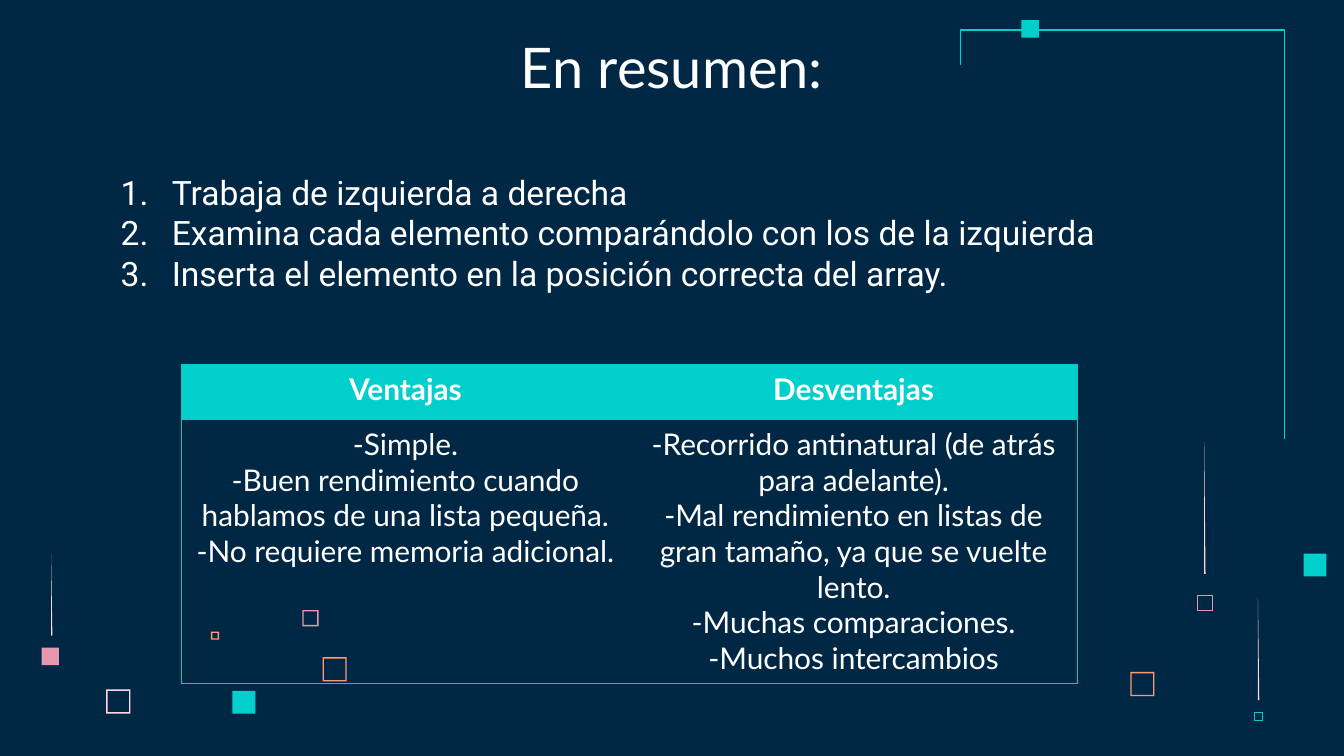
import pptx
import pptx.util
import pptx.dml.color
import pptx.enum.shapes
import pptx.enum.text
import pptx.oxml.ns
from lxml import etree

Inches, Pt = pptx.util.Inches, pptx.util.Pt
RGBColor = pptx.dml.color.RGBColor
SHAPE = pptx.enum.shapes.MSO_SHAPE
qn = pptx.oxml.ns.qn
CENTER = pptx.enum.text.PP_ALIGN.CENTER

NAVY = RGBColor(0x00, 0x28, 0x45)
TEAL = RGBColor(0x00, 0xCF, 0xCC)
BORDER = RGBColor(0x00, 0xCA, 0xC8)
PINK = RGBColor(0xE8, 0x98, 0xAC)
PALE = RGBColor(0xFF, 0xD6, 0xE1)
ORANGE = RGBColor(0xFF, 0x99, 0x73)
WHITE = RGBColor(0xFF, 0xFF, 0xFF)
NO_STYLE = "{2D5ABB26-0587-4C30-8999-92F81FD0307C}"

# Content
TITLE = "En resumen:"
STEPS = [
    "Trabaja de izquierda a derecha",
    "Examina cada elemento comparándolo con los de la izquierda",
    "Inserta el elemento en la posición correcta del array.",
]
COLUMNS = [
    ("Ventajas", [
        "-Simple.",
        "-Buen rendimiento cuando hablamos de una lista pequeña.",
        "-No requiere memoria adicional.",
    ]),
    ("Desventajas", [
        "-Recorrido antinatural (de atrás para adelante).",
        "-Mal rendimiento en listas de gran tamaño, ya que se vuelte lento.",
        "-Muchas comparaciones.",
        "-Muchos intercambios",
    ]),
]

# Decoration: left, top, size, colour
FRAMES = [(0.79, 5.13, 0.18, PALE), (2.25, 4.54, 0.12, PINK), (1.57, 4.7, 0.06, ORANGE),
          (2.4, 4.89, 0.18, ORANGE), (8.41, 5, 0.18, ORANGE)]
SOLIDS = [(1.73, 5.14, 0.17, TEAL), (0.31, 4.82, 0.13, PINK), (9.7, 4.12, 0.17, TEAL),
          (7.6, 0.15, 0.13, TEAL)]
OUTLINES = [(8.91, 4.43, 0.11, PINK), (9.33, 5.3, 0.06, TEAL)]
# Tapered streaks: left, top, bottom
STREAKS = [(8.96, 3.29, 4.27), (0.38, 4.12, 4.73), (9.36, 4.45, 5.21)]


def add_square(s, kind, left, top, size):
    sp = s.shapes.add_shape(kind, Inches(left), Inches(top), Inches(size), Inches(size))
    sp.shadow.inherit = False
    return sp


def paint(sp, color):
    sp.fill.solid()
    sp.fill.fore_color.rgb = color
    sp.line.fill.background()


def write(tf, lines, font, size, bold=False, align=None):
    tf.text = "\n".join(lines)
    for p in tf.paragraphs:
        p.alignment = align
        for r in p.runs:
            r.font.name, r.font.size, r.font.bold = font, Pt(size), bold
            r.font.color.rgb = WHITE


def set_borders(cell, sides):
    tcPr = cell._tc.get_or_add_tcPr()
    for i, side in enumerate(sides):
        ln = etree.Element(qn("a:ln" + side), w=str(Pt(0.75)))
        fill = etree.SubElement(ln, qn("a:solidFill"))
        etree.SubElement(fill, qn("a:srgbClr"), val=str(BORDER))
        etree.SubElement(ln, qn("a:prstDash"), val="solid")
        tcPr.insert(i, ln)


prs = pptx.Presentation()
prs.slide_width = Inches(10)
prs.slide_height = prs.slide_width * 9 // 16
s = prs.slides.add_slide(prs.slide_layouts[5])
s.background.fill.solid()
s.background.fill.fore_color.rgb = NAVY

# Squares and streaks
for left, top, size, color in FRAMES:
    sp = add_square(s, SHAPE.FRAME, left, top, size)
    sp.adjustments[0] = 0.01 / size
    paint(sp, color)
for left, top, size, color in OUTLINES:
    sp = add_square(s, SHAPE.RECTANGLE, left, top, size)
    sp.fill.background()
    sp.line.color.rgb = color
    sp.line.width = Pt(0.23)
for left, top, bottom in STREAKS:
    fb = s.shapes.build_freeform(Inches(left), Inches(top))
    fb.add_line_segments([(Inches(left), Inches(bottom)), (Inches(left + 0.01), Inches(bottom))])
    sp = fb.convert_to_shape()
    sp.shadow.inherit = False
    paint(sp, PALE)

# Corner line: an elbow turned by 270 degrees, bending outside its box
cx = s.shapes.add_connector(pptx.enum.shapes.MSO_CONNECTOR.ELBOW,
                            Inches(9.74), Inches(0.67), Inches(6.96), Inches(3.08))
cx.line.color.rgb = TEAL
cx.line.width = Pt(0.75)
spPr = cx._element.spPr
spPr.find(qn("a:xfrm")).set("rot", str(270 * 60000))
avLst = spPr.find(qn("a:prstGeom")).find(qn("a:avLst"))
etree.SubElement(avLst, qn("a:gd"), name="adj1", fmla="val -9400")
etree.SubElement(spPr, qn("a:effectLst"))

for left, top, size, color in SOLIDS:
    paint(add_square(s, SHAPE.RECTANGLE, left, top, size), color)

# Title
title = s.shapes.title
title.left, title.top, title.width, title.height = Inches(0), Inches(0.21), Inches(10), Inches(0.63)
tf = title.text_frame
write(tf, [TITLE], "Lato", 30, align=CENTER)
tf.vertical_anchor = pptx.enum.text.MSO_ANCHOR.BOTTOM
tf.margin_left = tf.margin_right = tf.margin_top = tf.margin_bottom = Inches(0.1)

# Numbered steps
tf = s.shapes.add_textbox(Inches(0.68), Inches(1.18), Inches(8.02), Inches(2.29)).text_frame
tf.word_wrap = True
tf.margin_left = tf.margin_right = tf.margin_top = tf.margin_bottom = Inches(0.1)
write(tf, STEPS, "Roboto", 18)
for p in tf.paragraphs:
    pPr = p._p.get_or_add_pPr()
    pPr.set("marL", str(Inches(0.5)))
    pPr.set("indent", str(Inches(-0.38)))
    color = etree.SubElement(pPr, qn("a:buClr"))
    etree.SubElement(color, qn("a:srgbClr"), val=str(WHITE))
    etree.SubElement(pPr, qn("a:buFont"), typeface="Roboto")
    etree.SubElement(pPr, qn("a:buAutoNum"), type="arabicPeriod")

# Pros and cons table
frame = s.shapes.add_table(2, len(COLUMNS), Inches(1.35), Inches(2.71),
                           Inches(6.67), Inches(2.11))
table = frame.table
table._tbl.tblPr.find(qn("a:tableStyleId")).text = NO_STYLE
table.rows[0].height, table.rows[1].height = Inches(0.41), Inches(1.7)
for col, (heading, points) in enumerate(COLUMNS):
    outer = "L" if col == 0 else "R"
    head, body = table.cell(0, col), table.cell(1, col)
    write(head.text_frame, [heading], "Lato", 16, True, CENTER)
    write(body.text_frame, points, "Lato", 16, False, CENTER)
    head.fill.solid()
    head.fill.fore_color.rgb = TEAL
    body.fill.background()
    for cell in (head, body):
        set_borders(cell, outer + "TB")

prs.save("out.pptx")
